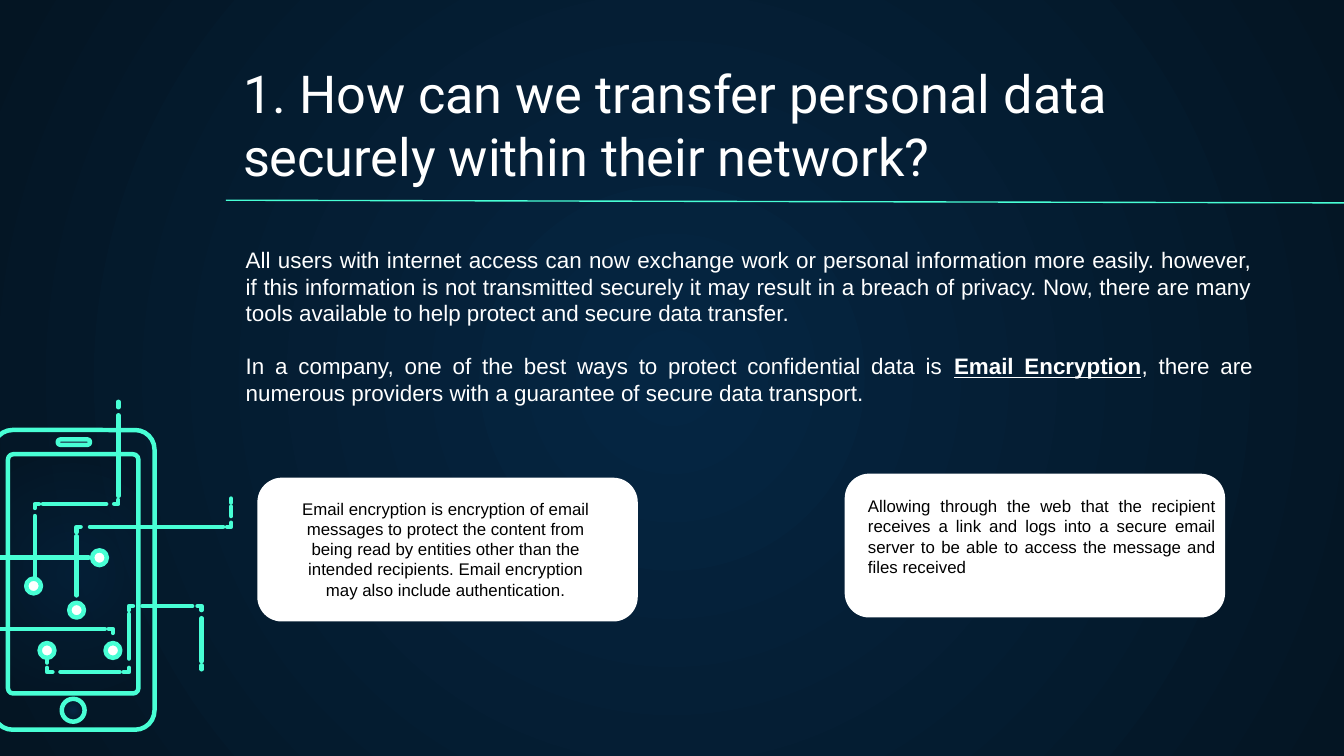
import pptx
import pptx.dml.color
import pptx.enum.dml
import pptx.enum.shapes
import pptx.enum.text
import pptx.oxml
import pptx.oxml.ns
import pptx.util
from dataclasses import dataclass
from lxml import etree

Inches = pptx.util.Inches
Pt = pptx.util.Pt
Shapes = pptx.enum.shapes.MSO_SHAPE
Align = pptx.enum.text.PP_ALIGN
Anchor = pptx.enum.text.MSO_ANCHOR
AutoSize = pptx.enum.text.MSO_AUTO_SIZE
qn = pptx.oxml.ns.qn


@dataclass
class Theme:
    glow: str = "052643"
    night: str = "041523"
    neon: str = "48FFD5"
    speaker: str = "161234"
    white: str = "FFFFFF"
    black: str = "000000"
    title_font: str = "Roboto"
    body_font: str = "Arial"
    title_size: float = 28
    body_size: float = 12
    card_size: float = 9
    thin: float = 0.75
    thick: float = 2.4


def rgb(value):
    return pptx.dml.color.RGBColor.from_string(value)


class SlideBuilder:
    def __init__(self, page, theme):
        self.page = page
        self.theme = theme

    def radial(self, fill, owner, alpha=None):
        """Fill with the glow-to-night gradient, spreading from the centre."""
        fill.gradient()
        for stop, color in zip(fill.gradient_stops, (self.theme.glow, self.theme.night)):
            stop.color.rgb = rgb(color)
        fill.gradient_stops[0].position = 0
        fill.gradient_stops[1].position = 1
        gradient = owner.find(".//" + qn("a:gradFill"))
        if alpha is not None:
            for color in gradient.iter(qn("a:srgbClr")):
                etree.SubElement(color, qn("a:alpha"), val=str(alpha * 1000))
        direction = gradient.find(qn("a:lin"))
        circle = etree.Element(qn("a:path"), path="circle")
        etree.SubElement(circle, qn("a:fillToRect"), l="50000", t="50000", r="50000", b="50000")
        gradient.replace(direction, circle)

    def background(self):
        self.radial(self.page.background.fill, self.page.element)

    def stroke(self, shape, color, width, cap="flat"):
        shape.line.color.rgb = rgb(color)
        shape.line.width = Pt(width)
        outline = shape.element.spPr.find(qn("a:ln"))
        outline.set("cap", cap)
        if cap == "rnd":
            etree.SubElement(outline, qn("a:round"))

    def line(self, start, end, width, cap="flat"):
        line = self.page.shapes.add_connector(
            pptx.enum.shapes.MSO_CONNECTOR.STRAIGHT, *map(Inches, (*start, *end)))
        self.stroke(line, self.theme.neon, width, cap)
        etree.SubElement(line.element.spPr, qn("a:effectLst"))

    def trace(self, points):
        """Draw one piece of circuit: a straight dash or a corner."""
        if len(points) == 2:
            self.line(*points, self.theme.thick, "rnd")
            return
        start, *rest = [tuple(map(Inches, point)) for point in points]
        builder = self.page.shapes.build_freeform(*start)
        builder.add_line_segments(rest, close=False)
        corner = builder.convert_to_shape()
        corner.shadow.inherit = False
        corner.fill.background()
        self.stroke(corner, self.theme.neon, self.theme.thick, "rnd")

    def shape(self, kind, place, line, width, fill=None, corner=None):
        shape = self.page.shapes.add_shape(kind, *map(Inches, place))
        shape.shadow.inherit = False
        if corner is not None:
            shape.adjustments[0] = corner
        if fill:
            shape.fill.solid()
            shape.fill.fore_color.rgb = rgb(fill)
        else:
            shape.fill.background()
        self.stroke(shape, line, width)
        return shape

    def outline(self, kind, place, fill=None, corner=None):
        return self.shape(kind, place, self.theme.neon, self.theme.thick, fill, corner)

    def card(self, left, top):
        self.shape(Shapes.ROUNDED_RECTANGLE, (left, top, 2.82, 1.06),
                   self.theme.white, self.theme.thin, self.theme.white, 0.167)

    def node(self, x, y, size=0.11):
        self.outline(Shapes.OVAL, (x - size / 2, y - size / 2, size, size), self.theme.white)

    def text(self, place, paragraphs, font, size, color, align, gap=0, bottom=False):
        """Each paragraph is a list of (text, emphasised) spans."""
        box = self.page.shapes.add_textbox(*map(Inches, place))
        frame = box.text_frame
        frame.word_wrap = True
        if bottom:
            frame.vertical_anchor = Anchor.BOTTOM
            frame.margin_top = frame.margin_bottom = Inches(0.1)
        else:
            frame.auto_size = AutoSize.SHAPE_TO_FIT_TEXT
        for index, spans in enumerate(paragraphs):
            para = frame.add_paragraph() if index else frame.paragraphs[0]
            para.alignment = align
            if index:
                para.space_before = Pt(gap)
            para.font.name = font
            para.font.size = Pt(size)
            para.font.color.rgb = rgb(color)
            for words, emphasised in spans:
                span = para.add_run()
                span.text = words
                if emphasised:
                    span.font.bold = span.font.underline = True


TRACES = [
    # bottom circuit
    [(0.35, 4.9), (0.35, 4.93)],
    [(0.35, 4.97), (0.35, 5), (0.39, 5)],
    [(0.45, 5), (0.89, 5)],
    [(0.92, 5), (0.96, 5), (0.96, 4.97)],
    [(0.96, 4.9), (0.96, 4.57)],
    [(0.96, 4.54), (0.96, 4.51), (0.99, 4.51)],
    [(1.06, 4.51), (1.43, 4.51)],
    [(1.47, 4.51), (1.5, 4.51), (1.5, 4.54)],
    [(1.5, 4.6), (1.5, 4.92)],
    [(1.5, 4.95), (1.5, 4.98)],
    # circuits from the left edge
    [(-0.09, 4.15), (0.66, 4.15)],
    [(0.69, 4.15), (0.72, 4.15)],
    [(-0.18, 4.68), (0.78, 4.68)],
    [(0.81, 4.68), (0.84, 4.68), (0.84, 4.71)],
    [(0.84, 4.8), (0.84, 4.83)],
    # middle circuit
    [(0.57, 4.52), (0.57, 4.49)],
    [(0.57, 4.43), (0.57, 3.99)],
    [(0.57, 3.96), (0.57, 3.92), (0.6, 3.92)],
    [(0.67, 3.92), (1.66, 3.92)],
    [(1.69, 3.92), (1.72, 3.92), (1.72, 3.89)],
    [(1.72, 3.84), (1.72, 3.77)],
    [(1.72, 3.74), (1.72, 3.71)],
    # top circuit
    [(0.88, 2.99), (0.88, 3.03)],
    [(0.88, 3.09), (0.88, 3.69)],
    [(0.88, 3.72), (0.88, 3.75), (0.85, 3.75)],
    [(0.79, 3.75), (0.32, 3.75)],
    [(0.29, 3.75), (0.26, 3.75), (0.26, 3.78)],
    [(0.26, 3.84), (0.26, 4.29)],
    [(0.26, 4.32), (0.26, 4.36)],
]
NODES = [(0.35, 4.84), (0.74, 4.15), (0.84, 4.84), (0.57, 4.54), (0.25, 4.36)]


def draw_phone(slide):
    slide.outline(Shapes.ROUNDED_RECTANGLE, (-0.05, 3.2, 1.2, 2.23), corner=0.12)
    screen = slide.outline(Shapes.ROUNDED_RECTANGLE, (0.06, 3.38, 0.97, 1.78), corner=0.04)
    slide.radial(screen.fill, screen.element, alpha=53)
    button = slide.outline(Shapes.OVAL, (0.46, 5.2, 0.17, 0.17))
    slide.radial(button.fill, button.element)
    slide.outline(Shapes.ROUNDED_RECTANGLE, (0.43, 3.27, 0.24, 0.04), slide.theme.speaker, 0.5)
    for points in TRACES:
        slide.trace(points)
    for center in NODES:
        slide.node(*center)


def main():
    deck = pptx.Presentation()
    deck.slide_width = Inches(10)
    deck.slide_height = deck.slide_width * 9 // 16
    theme = Theme()
    slide = SlideBuilder(deck.slides.add_slide(deck.slide_layouts[6]), theme)
    slide.background()
    slide.card(6.29, 3.53)
    slide.text((1.71, 0.83, 7.72, 0.66),
               [[("1. How can we transfer personal data securely within their network?", False)]],
               theme.title_font, theme.title_size, theme.white, Align.LEFT, bottom=True)
    slide.line((1.68, 1.49), (10.09, 1.51), theme.thin)
    draw_phone(slide)
    slide.text((1.73, 1.78, 7.69, 1.72), [
        [("All users with internet access can now exchange work or personal information more easily. "
          "however, if this information is not transmitted securely it may result in a breach of "
          "privacy. Now, there are many tools available to help protect and secure data transfer.",
          False)],
        [("In a company, one of the best ways to protect confidential data is ", False),
         ("Email Encryption", True),
         (", there are numerous providers with a guarantee of secure data transport.", False)],
    ], theme.body_font, theme.body_size, theme.white, Align.JUSTIFY, gap=14)
    slide.card(1.92, 3.56)
    slide.text((2.08, 3.66, 2.47, 0.86),
               [[("Email encryption is encryption of email messages to protect the content from "
                  "being read by entities other than the intended recipients. Email encryption "
                  "may also include authentication.", False)]],
               theme.body_font, theme.card_size, theme.black, Align.CENTER)
    slide.text((6.36, 3.64, 2.78, 0.71),
               [[("Allowing through the web that the recipient receives a link and logs into a "
                  "secure email server to be able to access the message and files received", False)]],
               theme.body_font, theme.card_size, theme.black, Align.JUSTIFY)
    deck.save("out.pptx")


if __name__ == "__main__":
    main()
